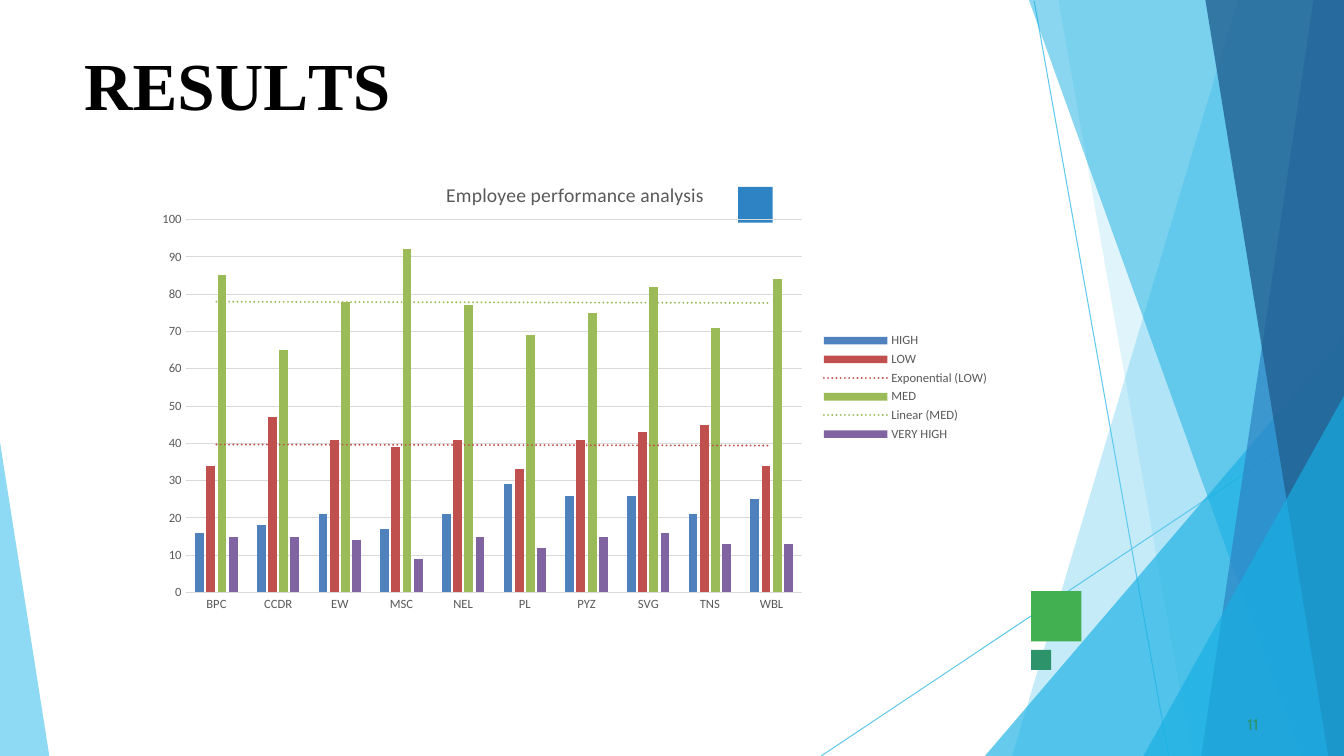
from lxml import etree
from pptx import Presentation
from pptx.chart.data import CategoryChartData
from pptx.dml.color import RGBColor
from pptx.enum.chart import XL_CHART_TYPE as ChartType, XL_LEGEND_POSITION as LegendPos
from pptx.enum.chart import XL_TICK_MARK as Tick
from pptx.enum.shapes import MSO_CONNECTOR as Connector, MSO_SHAPE as Shape
from pptx.enum.text import MSO_ANCHOR as Anchor, MSO_AUTO_SIZE as AutoSize, PP_ALIGN as Align
from pptx.oxml import parse_xml
from pptx.oxml.ns import nsdecls, qn
from pptx.util import Pt

PX = 9525  # EMU per px, 96 px to the inch
W, H = 1280, 720
COLORS = {
    "sky": "5FCAEE", "cyan": "17AFE3", "blue": "2D83C3", "navy": "226192",
    "green": "42AF51", "teal": "2D936B", "black": "000000",
    "grey": "595959", "grid": "D9D9D9",
    "HIGH": "4F81BD", "LOW": "C0504D", "MED": "9BBB59", "VERY HIGH": "8064A2",
}
SITES = ["BPC", "CCDR", "EW", "MSC", "NEL", "PL", "PYZ", "SVG", "TNS", "WBL"]
RATINGS = {
    "HIGH": [16, 18, 21, 17, 21, 29, 26, 26, 21, 25],
    "LOW": [34, 47, 41, 39, 41, 33, 41, 43, 45, 34],
    "MED": [85, 65, 78, 92, 77, 69, 75, 82, 71, 84],
    "VERY HIGH": [15, 15, 14, 9, 15, 12, 15, 16, 13, 13],
}
TRENDS = {"LOW": "exp", "MED": "linear"}


def rgb(name):
    return RGBColor.from_string(COLORS[name])


def emu(*lengths):
    return [n * PX for n in lengths]


def set_attrs(obj, values):
    for name, value in values.items():
        setattr(obj, name, value)


def style_font(font, color, **values):
    set_attrs(font, values)
    font.color.rgb = rgb(color)


def paint(sp, color, alpha=100):
    sp.shadow.inherit = False
    sp.fill.solid()
    sp.fill.fore_color.rgb = rgb(color)
    sp.line.fill.background()
    if alpha < 100:
        clr = sp.fill._xPr.find(".//" + qn("a:srgbClr"))
        etree.SubElement(clr, qn("a:alpha"), val=str(alpha * 1000))


# Facets and thin lines along the slide edges
def add_facets(slide, left, top, width, height):
    right, bottom = left + width, top + height
    for x1, y1, x2, y2 in [(985, 1, 1113, H), (W, 388, 782, H)]:
        ends = emu(left + x1, top + y1, left + x2, top + y2)
        line = slide.shapes.add_connector(Connector.STRAIGHT, *ends)
        line.line.color.rgb = rgb("sky")
        line.line.width = Pt(0.75)
        etree.SubElement(line._element.spPr, qn("a:effectLst"))

    def bands(top_x, bottom_x):
        return [(right, top), (left + top_x, top), (left + bottom_x, bottom), (right, bottom)]

    def wedge(side, y, bottom_x):
        return [(side, top + y), (left + bottom_x, bottom), (side, bottom)]

    facets = [
        (bands(1179, 964), "sky", 36),
        (bands(1008, 1135), "sky", 20),
        (wedge(right, 320, 938), "cyan", 66),
        (bands(980, 1239), "cyan", 50),
        (bands(1251, 1144), "blue", 70),
        (bands(1148, 1265), "navy", 80),
        (wedge(right, 377, 1089), "cyan", 66),
        (wedge(left, 421, 47), "sky", 70),
    ]
    for points, color, alpha in facets:
        builder = slide.shapes.build_freeform(*points[0], scale=PX)
        builder.add_line_segments(points[1:], close=True)
        paint(builder.convert_to_shape(), color, alpha)


# Small accent squares
def add_squares(slide):
    for x, y, w, h, color in [(982, 563, 48, 48, "green"), (703, 178, 33, 34, "blue"),
                              (982, 619, 19, 19, "teal")]:
        paint(slide.shapes.add_shape(Shape.RECTANGLE, *emu(x, y, w, h)), color)


def fill_text(sp, runs, before, color, **font):
    """Write (text, letter spacing in 1/100 pt) runs into one tight paragraph."""
    tf = sp.text_frame
    set_attrs(tf, dict(margin_left=0, margin_right=0, margin_top=PX, margin_bottom=0,
                       word_wrap=True, vertical_anchor=Anchor.TOP,
                       auto_size=AutoSize.SHAPE_TO_FIT_TEXT))
    p = tf.paragraphs[0]
    set_attrs(p, dict(alignment=Align.LEFT, space_before=Pt(before)))
    for text, spacing in runs:
        r = p.add_run()
        r.text = text
        style_font(r.font, color, **font)
        r._r.get_or_add_rPr().set("spc", str(spacing))
    return p


def add_title(slide, left, top, width, height):
    title = slide.shapes.title
    set_attrs(title, dict(zip(("left", "top", "width", "height"), emu(left, top, width, height))))
    runs = [("R", 0), ("E", -40), ("S", 10), ("U", -30), ("L", -400), ("TS", 0)]
    fill_text(title, runs, 1.1, "black", name="Times New Roman", size=Pt(48), bold=True)


def add_page_number(slide, left, top, width, height):
    box = slide.shapes.add_textbox(*emu(left, top, width, height))
    p = fill_text(box, [("11", 10)], 0.6, "teal", name="Cabin", size=Pt(11))
    p._p.get_or_add_pPr().set("marL", str(4 * PX))


def layout_xml(inner=False, **fractions):
    target = '<c:layoutTarget val="inner"/>' if inner else ""
    modes = "".join(f'<c:{k}Mode val="edge"/>' for k in "xy")
    sizes = "".join(f'<c:{k} val="{v}"/>' for k, v in fractions.items())
    return parse_xml(f'<c:layout {nsdecls("c")}><c:manualLayout>{target}{modes}{sizes}'
                     '</c:manualLayout></c:layout>')


def add_trend(series, kind):
    trend = parse_xml(
        f'<c:trendline {nsdecls("c", "a")}><c:spPr><a:ln w="19050" cap="rnd"><a:solidFill>'
        f'<a:srgbClr val="{COLORS[series.name]}"/></a:solidFill><a:prstDash val="sysDot"/></a:ln>'
        f'</c:spPr><c:trendlineType val="{kind}"/><c:dispRSqr val="0"/><c:dispEq val="0"/>'
        '</c:trendline>')
    series._element.find(qn("c:cat")).addprevious(trend)


# Clustered columns with two trend lines
def add_ratings_chart(slide, left, top, width, height):
    data = CategoryChartData()
    data.categories = SITES
    for name, values in RATINGS.items():
        data.add_series(name, values)
    chart = slide.shapes.add_chart(ChartType.COLUMN_CLUSTERED,
                                   *emu(left, top, width, height), data).chart
    style_font(chart.font, "black", name="Calibri", size=Pt(10))
    small = dict(name="Calibri", size=Pt(9))

    p = chart.chart_title.text_frame.paragraphs[0]
    r = p.add_run()
    r.text = "Employee performance analysis"
    style_font(r.font, "grey", name="Calibri", size=Pt(14), bold=False)
    title = chart.chart_title._element
    for old in title.findall(qn("c:layout")):
        title.remove(old)
    title.find(qn("c:tx")).addnext(layout_xml(x=0.35, y=0.05))

    area = chart._chartSpace.chart.plotArea
    for old in area.findall(qn("c:layout")):
        area.remove(old)
    area.insert(0, layout_xml(inner=True, x=0.05, y=0.14, w=0.72, h=0.8))

    plot = chart.plots[0]
    set_attrs(plot, dict(gap_width=219, overlap=-27, vary_by_categories=False))
    for series in plot.series:
        series.format.fill.solid()
        series.format.fill.fore_color.rgb = rgb(series.name)
        if series.name in TRENDS:
            add_trend(series, TRENDS[series.name])

    cat, val = chart.category_axis, chart.value_axis
    for axis in (cat, val):
        set_attrs(axis, dict(major_tick_mark=Tick.NONE, minor_tick_mark=Tick.NONE))
        style_font(axis.tick_labels.font, "grey", **small)
    set_attrs(val, dict(minimum_scale=0, maximum_scale=100, major_unit=10))
    val.format.line.fill.background()
    for line in (cat.format.line, val.major_gridlines.format.line):
        line.color.rgb = rgb("grid")
        line.width = Pt(0.75)

    chart.has_legend = True
    set_attrs(chart.legend, dict(position=LegendPos.RIGHT, include_in_layout=False))
    style_font(chart.legend.font, "grey", **small)


def add_results_slide(prs):
    slide = prs.slides.add_slide(prs.slide_layouts[5])
    add_facets(slide, 0, 0, W, H)
    add_squares(slide)
    add_title(slide, 80, 40, 385, 79)
    add_page_number(slide, 1184, 680, 24, 20)
    add_ratings_chart(slide, 136, 147, 816, 444)


def main():
    prs = Presentation()
    prs.slide_width, prs.slide_height = emu(W, H)
    add_results_slide(prs)
    prs.save("out.pptx")


if __name__ == "__main__":
    main()
